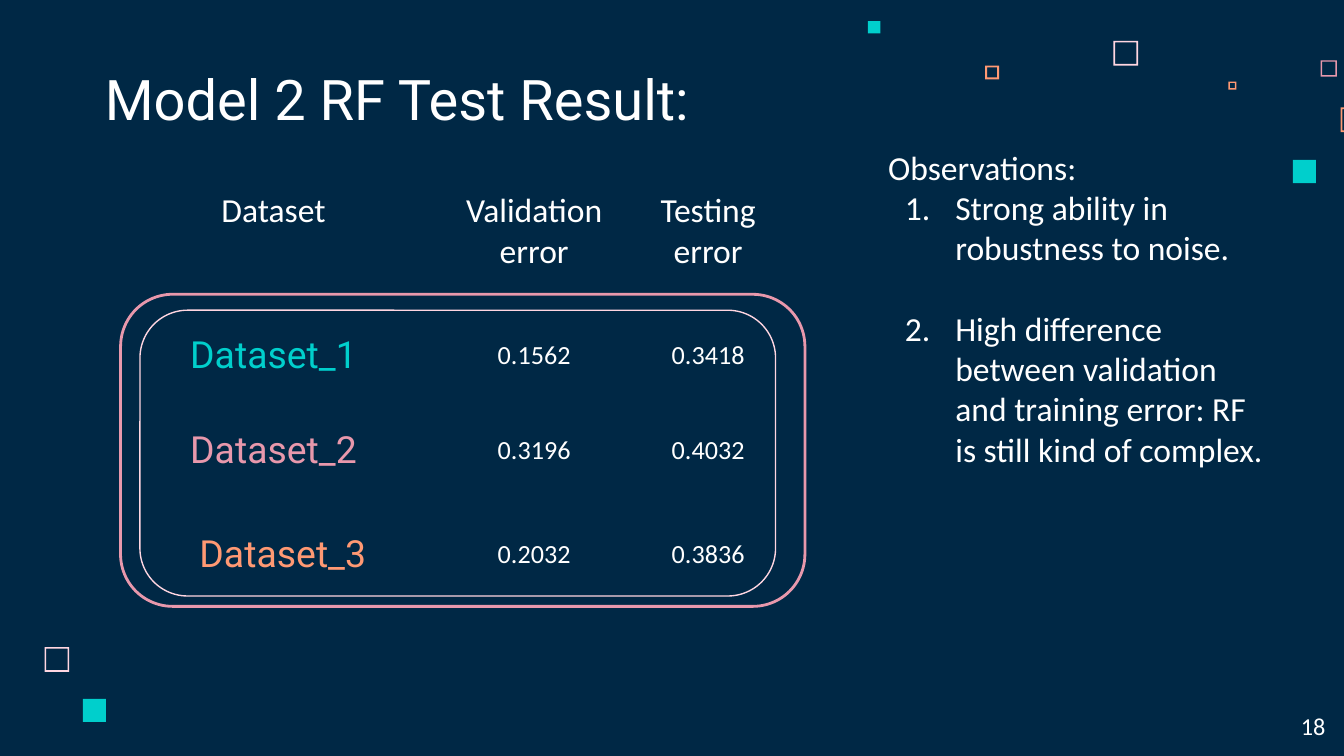
from lxml import etree
from pptx import Presentation
from pptx.dml.color import RGBColor
from pptx.enum.shapes import MSO_SHAPE
from pptx.enum.text import MSO_ANCHOR, MSO_AUTO_SIZE, PP_ALIGN
from pptx.oxml.ns import qn
from pptx.util import Pt

RECT, FRAME, ROUNDED = MSO_SHAPE.RECTANGLE, MSO_SHAPE.FRAME, MSO_SHAPE.ROUNDED_RECTANGLE
LEFT, CENTER, RIGHT = PP_ALIGN.LEFT, PP_ALIGN.CENTER, PP_ALIGN.RIGHT
TOP, MIDDLE, BOTTOM = MSO_ANCHOR.TOP, MSO_ANCHOR.MIDDLE, MSO_ANCHOR.BOTTOM
NO_FIT = MSO_AUTO_SIZE.NONE

COLORS = {
    "navy": "002845",
    "white": "FFFFFF",
    "blush": "FFD6E1",
    "pink": "E898AC",
    "orange": "FF9973",
    "teal": "00CFCC",
}
HEADING, BODY = "Roboto", "Calibri"
INSET = 7.2
NO_GRID_STYLE = "{2D5ABB26-0587-4C30-8999-92F81FD0307C}"


def rgb(name):
    return RGBColor.from_string(COLORS[name])


class Deck:
    """Holds the presentation, its current slide and the shared styling."""

    def __init__(self, width, height):
        self.prs = Presentation()
        self.prs.slide_width, self.prs.slide_height = Pt(width), Pt(height)
        self.s = None

    def add_slide(self, background):
        self.s = self.prs.slides.add_slide(self.prs.slide_layouts[5])
        fill = self.s.background.fill
        fill.solid()
        fill.fore_color.rgb = rgb(background)

    def style(self, tf, size, font=BODY, color="white", align=LEFT):
        for p in tf.paragraphs:
            p.alignment = align
            for r in p.runs:
                r.font.size, r.font.name, r.font.bold = Pt(size), font, False
                r.font.color.rgb = rgb(color)

    def frame_text(self, tf, text, anchor):
        tf.text = text
        tf.word_wrap, tf.auto_size, tf.vertical_anchor = True, NO_FIT, anchor
        tf.margin_left = tf.margin_right = Pt(INSET)
        tf.margin_top = tf.margin_bottom = Pt(INSET)

    def title(self, text, x, y, w, h, size):
        sp = self.s.shapes.title
        sp.left, sp.top, sp.width, sp.height = Pt(x), Pt(y), Pt(w), Pt(h)
        self.frame_text(sp.text_frame, text, BOTTOM)
        self.style(sp.text_frame, size, HEADING)

    def text(self, text, x, y, w, h, size, align=LEFT):
        tf = self.s.shapes.add_textbox(Pt(x), Pt(y), Pt(w), Pt(h)).text_frame
        self.frame_text(tf, text, TOP)
        self.style(tf, size, align=align)
        return tf

    def number(self, p, indent, hanging):
        pPr = p._p.get_or_add_pPr()
        pPr.set("marL", str(Pt(indent)))
        pPr.set("indent", str(-Pt(hanging)))
        clr = etree.SubElement(pPr, qn("a:buClr"))
        etree.SubElement(clr, qn("a:srgbClr"), val=COLORS["white"])
        etree.SubElement(pPr, qn("a:buFont"), typeface=BODY)
        etree.SubElement(pPr, qn("a:buAutoNum"), type="arabicPeriod")

    def shape(self, kind, x, y, w, h):
        sp = self.s.shapes.add_shape(kind, Pt(x), Pt(y), Pt(w), Pt(h))
        sp.shadow.inherit = False
        return sp

    def square(self, x, y, size, color, border=None):
        """Solid square, or a hollow one when a border thickness is given."""
        sp = self.shape(FRAME if border else RECT, x, y, size, size)
        if border:
            sp.adjustments[0] = border / size
        sp.fill.solid()
        sp.fill.fore_color.rgb = rgb(color)
        sp.line.fill.background()

    def rounded_outline(self, x, y, w, h, color, weight):
        sp = self.shape(ROUNDED, x, y, w, h)
        sp.adjustments[0] = 0.167
        sp.fill.background()
        sp.line.color.rgb = rgb(color)
        sp.line.width = Pt(weight)

    def table(self, x, y, widths, heights):
        """Empty table without grid, banding or fills."""
        table = self.s.shapes.add_table(
            len(heights), len(widths), Pt(x), Pt(y), Pt(sum(widths)), Pt(sum(heights))
        ).table
        table.first_row = table.horz_banding = False
        table._tbl.tblPr.find(qn("a:tableStyleId")).text = NO_GRID_STYLE
        for col, width in zip(table.columns, widths):
            col.width = Pt(width)
        for row, height in zip(table.rows, heights):
            row.height = Pt(height)
        return table

    def cell(self, cell, text, size, font=BODY, color="white", anchor=MIDDLE, shift=0):
        cell.fill.background()
        cell.margin_left = Pt(INSET + 2 * shift)
        cell.margin_right = cell.margin_top = cell.margin_bottom = Pt(INSET)
        cell.vertical_anchor = anchor
        cell.text_frame.text = text
        self.style(cell.text_frame, size, font, color, CENTER)


SQUARES = [  # x, y, size, colour, border
    (596.5, 21.9, 13.2, "blush", 0.9),
    (707.5, 32.3, 8.7, "pink", 0.75),
    (658.1, 43.7, 4.3, "orange", 0.75),
    (718.2, 57.6, 13.2, "orange", 0.9),
    (692.6, 85.7, 12.4, "teal", None),
    (527.8, 35.1, 7.4, "orange", 1),
    (465, 11.3, 6.6, "teal", None),
    (23.9, 346.7, 13.2, "blush", 0.9),
    (44.4, 374.4, 12.4, "teal", None),
]
HEADERS = ["Dataset", "Validation\nerror", "Testing\nerror"]
RESULTS = [  # name, colour, shift of the name, validation error, testing error
    ("Dataset_1", "teal", 0, "0.1562", "0.3418"),
    ("Dataset_2", "pink", 0, "0.3196", "0.4032"),
    ("Dataset_3", "orange", 5, "0.2032", "0.3836"),
]
OBSERVATIONS = [
    "Strong ability in robustness to noise.",
    "High difference between validation and training error: RF is still kind of complex.",
]


def main():
    deck = Deck(720, 405)
    deck.add_slide("navy")
    for square in SQUARES:
        deck.square(*square)
    deck.rounded_outline(64.6, 157.7, 366.6, 167.2, "pink", 1.5)
    deck.rounded_outline(75, 166.2, 340.5, 153.1, "blush", 0.75)
    deck.title("Model 2 RF Test Result:", 49, 32.4, 372.2, 45.4, 30)

    table = deck.table(59.8, 95, [173.5, 105.8, 80.6], [69.8, 51.1, 51.1, 60.5])
    for col, header in enumerate(HEADERS):
        deck.cell(table.cell(0, col), header, 18, anchor=TOP)
    for row, (name, color, shift, *errors) in enumerate(RESULTS, 1):
        deck.cell(table.cell(row, 0), name, 20, HEADING, color, shift=shift)
        for col, error in enumerate(errors, 1):
            deck.cell(table.cell(row, col), error, 14)

    deck.text("18", 673.9, 373.7, 43.2, 31, 13, RIGHT)
    notes = deck.text("\n".join(["Observations:", *OBSERVATIONS]), 468.7, 71.3, 219.6, 211, 18)
    for p in notes.paragraphs[1:]:
        deck.number(p, 36, 27)
    notes.paragraphs[-1].space_before = Pt(21.6)
    deck.prs.save("out.pptx")


if __name__ == "__main__":
    main()
